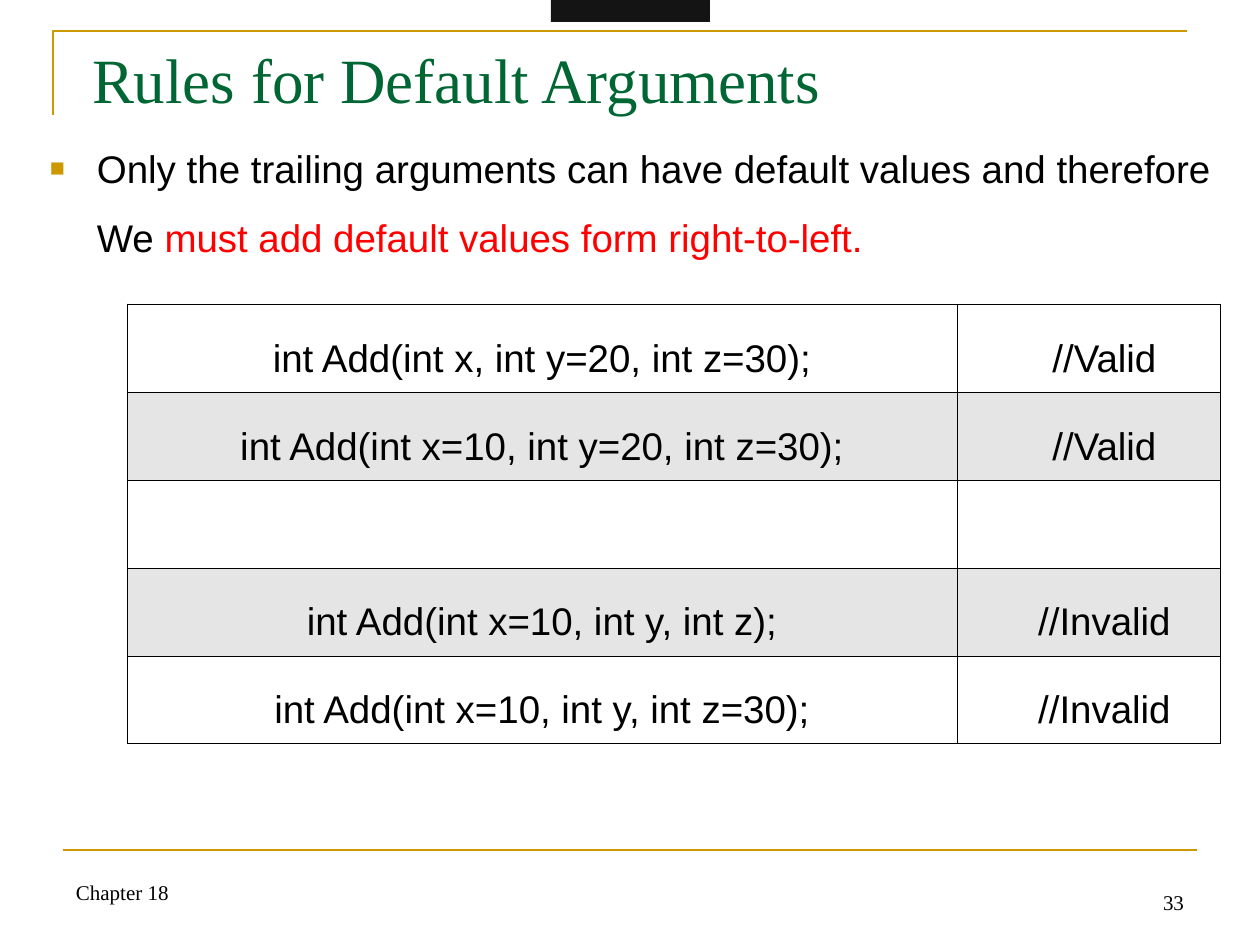
"""Build the slide on the rules for default arguments."""
from dataclasses import dataclass

from lxml.etree import SubElement
from pptx import Presentation
from pptx.dml.color import RGBColor
from pptx.enum.shapes import MSO_CONNECTOR as Connector, MSO_SHAPE as Shape
from pptx.enum.text import MSO_ANCHOR as Anchor, MSO_AUTO_SIZE as AutoSize, PP_ALIGN as Align
from pptx.oxml import parse_xml
from pptx.oxml.ns import nsdecls, qn
from pptx.util import Pt

SCALE = 914400 / 126
BLACK = RGBColor(0x00, 0x00, 0x00)
WHITE = RGBColor(0xFF, 0xFF, 0xFF)
GRAY = RGBColor(0xE5, 0xE5, 0xE5)
CHARCOAL = RGBColor(0x14, 0x14, 0x14)
GOLD = RGBColor(0xCC, 0x99, 0x00)
GREEN = RGBColor(0x00, 0x66, 0x33)
RED = RGBColor(0xFF, 0x00, 0x00)
SERIF = "Times New Roman"
SANS = "Arial"


@dataclass(frozen=True)
class Footer:
    text: str
    left: int
    top: int
    width: int
    align: Align


@dataclass(frozen=True)
class Example:
    code: str
    verdict: str


FOOTERS = (
    Footer("Chapter 18", 63, 848, 399, Align.LEFT),
    Footer("33", 903, 858, 294, Align.RIGHT),
)
EXAMPLES = (
    Example("int Add(int x, int y=20, int z=30);", "//Valid"),
    Example("int Add(int x=10, int y=20, int z=30);", "//Valid"),
    Example("", ""),
    Example("int Add(int x=10, int y, int z);", "//Invalid"),
    Example("int Add(int x=10, int y, int z=30);", "//Invalid"),
)
COLUMN_WIDTHS = (830, 263)
CELL_INDENTS = (9, 41)
ROW_HEIGHT = 88


def px(*lengths: int) -> list[int]:
    return [round(length * SCALE) for length in lengths]


def set_font(target, name: str, size: int, color: RGBColor) -> None:
    target.font.name = name
    target.font.size = Pt(size)
    target.font.color.rgb = color


def set_frame(frame, top: int, anchor: Anchor) -> None:
    frame.word_wrap = True
    frame.auto_size = AutoSize.NONE
    frame.vertical_anchor = anchor
    frame.margin_left, frame.margin_top, frame.margin_right, frame.margin_bottom = px(13, top, 13, 6)


def draw_rules(page) -> None:
    builder = page.shapes.build_freeform(53, 115, SCALE)
    builder.add_line_segments([(53, 31), (1187, 31)], close=False)
    corner = builder.convert_to_shape()
    corner.shadow.inherit = False
    corner.fill.background()
    rule = page.shapes.add_connector(Connector.STRAIGHT, *px(63, 850, 1197, 850))
    SubElement(rule._element.spPr, qn("a:effectLst"))
    for shape in (corner, rule):
        shape.line.color.rgb = GOLD
        shape.line.width = Pt(1.5)


def draw_footer(page, footer: Footer) -> None:
    box = page.shapes.add_textbox(*px(footer.left, footer.top, footer.width, 63))
    set_frame(box.text_frame, 6, Anchor.BOTTOM)
    para = box.text_frame.paragraphs[0]
    para.text = footer.text
    para.alignment = footer.align
    set_font(para, SERIF, 12, BLACK)


def draw_title(page) -> None:
    title = page.shapes.title
    title.left, title.top, title.width, title.height = px(79, 28, 1134, 77)
    set_frame(title.text_frame, 13, Anchor.TOP)
    para = title.text_frame.paragraphs[0]
    para.text = "Rules for Default Arguments"
    para.alignment = Align.LEFT
    set_font(para, SERIF, 36, GREEN)


def draw_body(page) -> None:
    box = page.shapes.add_textbox(*px(37, 112, 1187, 693))
    set_frame(box.text_frame, 10, Anchor.TOP)
    para = box.text_frame.paragraphs[0]
    para.alignment = Align.JUSTIFY
    para.line_spacing = 1.5
    props = para._p.get_or_add_pPr()
    indent, = px(47)
    props.set("marL", str(indent))
    props.set("indent", str(-indent))
    SubElement(SubElement(props, qn("a:buClr")), qn("a:srgbClr"), val=str(GOLD))
    SubElement(props, qn("a:buSzPct"), val="65000")
    SubElement(props, qn("a:buFont"), typeface=SANS)
    SubElement(props, qn("a:buChar"), char="■")
    set_font(para, SANS, 22, BLACK)
    para.add_run().text = "Only the trailing arguments can have default values and therefore We "
    span = para.add_run()
    span.text = "must add default values form right-to-left."
    span.font.color.rgb = RED


def draw_badge(page) -> None:
    badge = page.shapes.add_shape(Shape.RECTANGLE, *px(551, -23, 159, 45))
    badge.shadow.inherit = False
    badge.fill.solid()
    badge.fill.fore_color.rgb = CHARCOAL
    badge.line.fill.background()


def set_cell(cell, text: str, indent: int, fill: RGBColor) -> None:
    cell.fill.solid()
    cell.fill.fore_color.rgb = fill
    cell.vertical_anchor = Anchor.MIDDLE
    cell.margin_left, cell.margin_top, cell.margin_right, cell.margin_bottom = px(indent, 6, 9, 6)
    props = cell._tc.get_or_add_tcPr()
    for index, side in enumerate(("lnL", "lnR", "lnT", "lnB")):
        props.insert(index, parse_xml(
            f'<a:{side} {nsdecls("a")} w="{Pt(0.34)}"><a:solidFill>'
            f'<a:srgbClr val="{BLACK}"/></a:solidFill></a:{side}>'))
    para = cell.text_frame.paragraphs[0]
    para.text = text
    para.alignment = Align.CENTER
    para.line_spacing = 1.5
    set_font(para, SANS, 22, BLACK)


def draw_examples(page) -> None:
    size = px(127, 304, sum(COLUMN_WIDTHS), ROW_HEIGHT * len(EXAMPLES))
    table = page.shapes.add_table(len(EXAMPLES), len(COLUMN_WIDTHS), *size).table
    table.first_row = table.horz_banding = False
    for column, width in zip(table.columns, px(*COLUMN_WIDTHS)):
        column.width = width
    for number, (row, example) in enumerate(zip(table.rows, EXAMPLES)):
        row.height, = px(ROW_HEIGHT)
        fill = GRAY if number % 2 else WHITE
        for cell, text, indent in zip(row.cells, (example.code, example.verdict), CELL_INDENTS):
            set_cell(cell, text, indent, fill)


def main() -> None:
    deck = Presentation()
    deck.slide_width, deck.slide_height = px(1260, 945)
    page = deck.slides.add_slide(deck.slide_layouts[5])
    draw_rules(page)
    for footer in FOOTERS:
        draw_footer(page, footer)
    draw_title(page)
    draw_body(page)
    draw_badge(page)
    draw_examples(page)
    deck.save("out.pptx")


if __name__ == "__main__":
    main()
